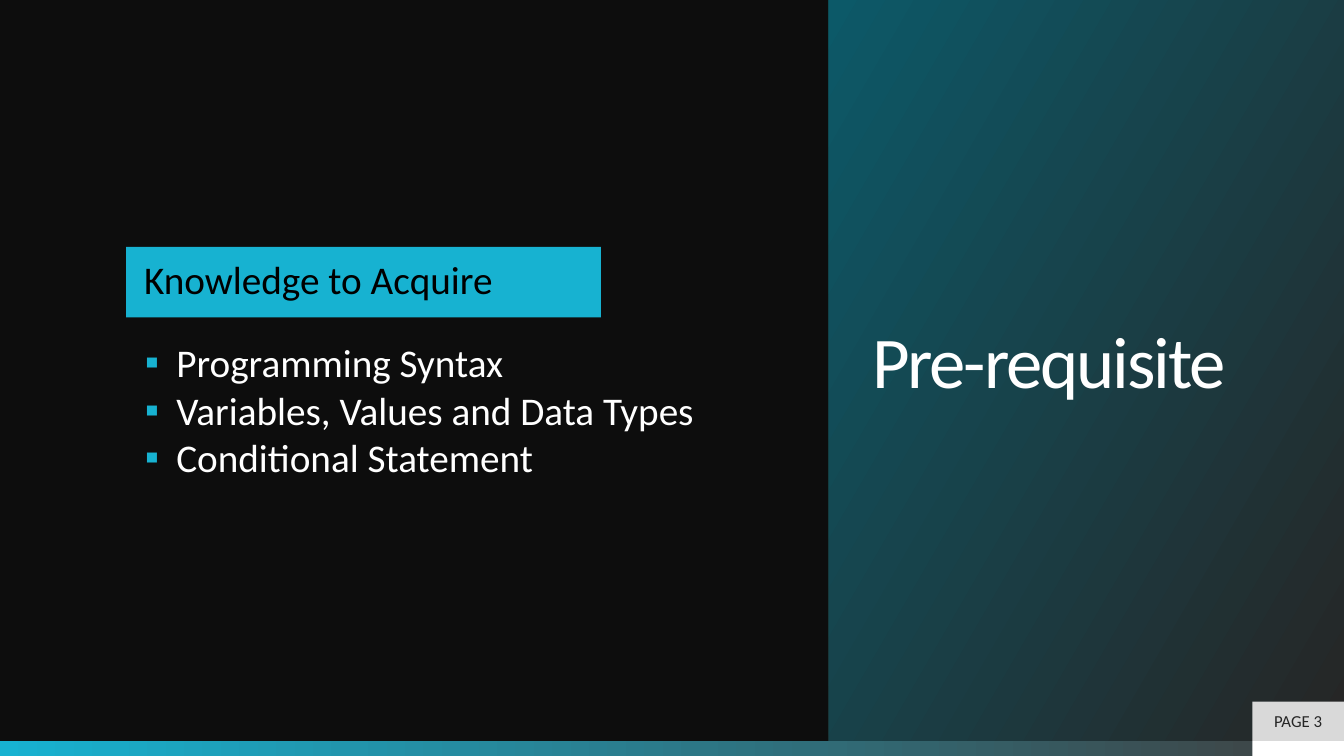
from dataclasses import dataclass, field

from lxml.etree import SubElement
from pptx import Presentation
from pptx.dml.color import RGBColor as Rgb
from pptx.enum.shapes import MSO_SHAPE as Shape
from pptx.enum.text import MSO_ANCHOR as Anchor, PP_ALIGN as Align
from pptx.oxml.ns import qn
from pptx.util import Inches, Pt


@dataclass(frozen=True)
class Theme:
    font: str = "Calibri"
    night: str = "0D0D0D"
    accent: str = "17B2D1"
    deep_teal: str = "0C5968"
    charcoal: str = "262626"
    grey: str = "404040"
    light: str = "D9D9D9"
    white: str = "FFFFFF"
    black: str = "000000"
    title_size: float = 52
    body_size: float = 28
    page_size: float = 12


THEME = Theme()


@dataclass(frozen=True)
class Gradient:
    stops: tuple  # (position, colour) pairs
    angle: float = 0  # counter-clockwise degrees


@dataclass(frozen=True)
class Text:
    lines: tuple
    size: float
    color: str
    insets: tuple = (0.1, 0.05, 0.1, 0.05)
    anchor: Anchor = Anchor.MIDDLE
    paragraph: dict = field(default_factory=dict)
    bullet: str = ""
    tracking: float = 0


@dataclass(frozen=True)
class Box:
    at: tuple
    fill: str | Gradient | None = None
    text: Text | None = None


def set_all(target, values: dict) -> None:
    for name, value in values.items():
        setattr(target, name, value)


def paint(fill, color: str | Gradient) -> None:
    if isinstance(color, str):
        fill.solid()
        fill.fore_color.rgb = Rgb.from_string(color)
        return
    fill.gradient()
    fill.gradient_angle = color.angle
    for stop, (position, value) in zip(fill.gradient_stops, color.stops):
        stop.position = position
        stop.color.rgb = Rgb.from_string(value)


def add_bullet(para, mark: str) -> None:
    props = para._p.get_or_add_pPr()
    props.set("marL", str(Inches(0.31)))
    props.set("indent", str(-Inches(0.31)))
    color = SubElement(props, qn("a:buClr"))
    SubElement(color, qn("a:srgbClr")).set("val", THEME.accent)
    SubElement(props, qn("a:buFont")).set("typeface", THEME.font)
    SubElement(props, qn("a:buChar")).set("char", mark)


def write(frame, text: Text) -> None:
    sides = ("margin_left", "margin_top", "margin_right", "margin_bottom")
    set_all(frame, dict(zip(sides, map(Inches, text.insets))))
    set_all(frame, {"word_wrap": True, "vertical_anchor": text.anchor})
    for index, line in enumerate(text.lines):
        para = frame.add_paragraph() if index else frame.paragraphs[0]
        set_all(para, {"alignment": Align.LEFT} | text.paragraph)
        if text.bullet:
            add_bullet(para, text.bullet)
        span = para.add_run()
        span.text = line
        set_all(span.font, {"name": THEME.font, "size": Pt(text.size)})
        span.font.color.rgb = Rgb.from_string(text.color)
        if text.tracking:
            span.font._element.set("spc", str(int(text.tracking * 100)))


def draw(page, box: Box) -> None:
    place = map(Inches, box.at)
    if box.fill is None:
        item = page.shapes.add_textbox(*place)
    else:
        item = page.shapes.add_shape(Shape.RECTANGLE, *place)
        item.shadow.inherit = False
        item.line.fill.background()
        paint(item.fill, box.fill)
    if box.text:
        write(item.text_frame, box.text)


WIDTH, HEIGHT, STRIP = 13.33, 7.5, 0.15
PANEL_LEFT, TAB_LEFT, TAB_HEIGHT = 8.22, 12.42, 0.39
FLOOR = HEIGHT - STRIP
TAB_WIDTH = WIDTH - TAB_LEFT

BOXES = (
    # Bottom strip and its light end
    Box((0, FLOOR, WIDTH, STRIP),
        Gradient(((0, THEME.accent), (1, THEME.grey)))),
    Box((TAB_LEFT, FLOOR, TAB_WIDTH, STRIP), THEME.white),
    # Title panel
    Box((PANEL_LEFT, 0, WIDTH - PANEL_LEFT, FLOOR),
        Gradient(((0.01, THEME.charcoal), (1, THEME.deep_teal)), 150),
        Text(("Pre-requisite",), THEME.title_size, THEME.white,
             insets=(0.43, 0.05, 0.43, 0.05),
             paragraph={"line_spacing": 0.7}, tracking=-1.5)),
    # Page tab
    Box((TAB_LEFT, FLOOR - TAB_HEIGHT, TAB_WIDTH, TAB_HEIGHT), THEME.light,
        Text(("PAGE 3",), THEME.page_size, THEME.charcoal,
             paragraph={"alignment": Align.CENTER})),
    # Topic list
    Box((0.92, 2.1, 6.73, 3.13), None,
        Text(("Programming Syntax", "Variables, Values and Data Types",
              "Conditional Statement"), THEME.body_size, THEME.white,
             insets=(0.52, 1.48, 0.52, 0.22), anchor=Anchor.TOP,
             paragraph={"line_spacing": 0.9, "space_after": Pt(3.6)},
             bullet="▪")),
    # Heading of the list
    Box((1.25, 2.45, 4.71, 0.7), THEME.accent,
        Text(("Knowledge to Acquire",), THEME.body_size, THEME.black,
             insets=(0.18, 0, 0.18, 0), paragraph={"line_spacing": 0.9})),
)


def main() -> None:
    deck = Presentation()
    set_all(deck, {"slide_width": Inches(WIDTH), "slide_height": Inches(HEIGHT)})
    page = deck.slides.add_slide(deck.slide_layouts[6])
    paint(page.background.fill, THEME.night)
    for box in BOXES:
        draw(page, box)
    deck.save("out.pptx")


if __name__ == "__main__":
    main()
